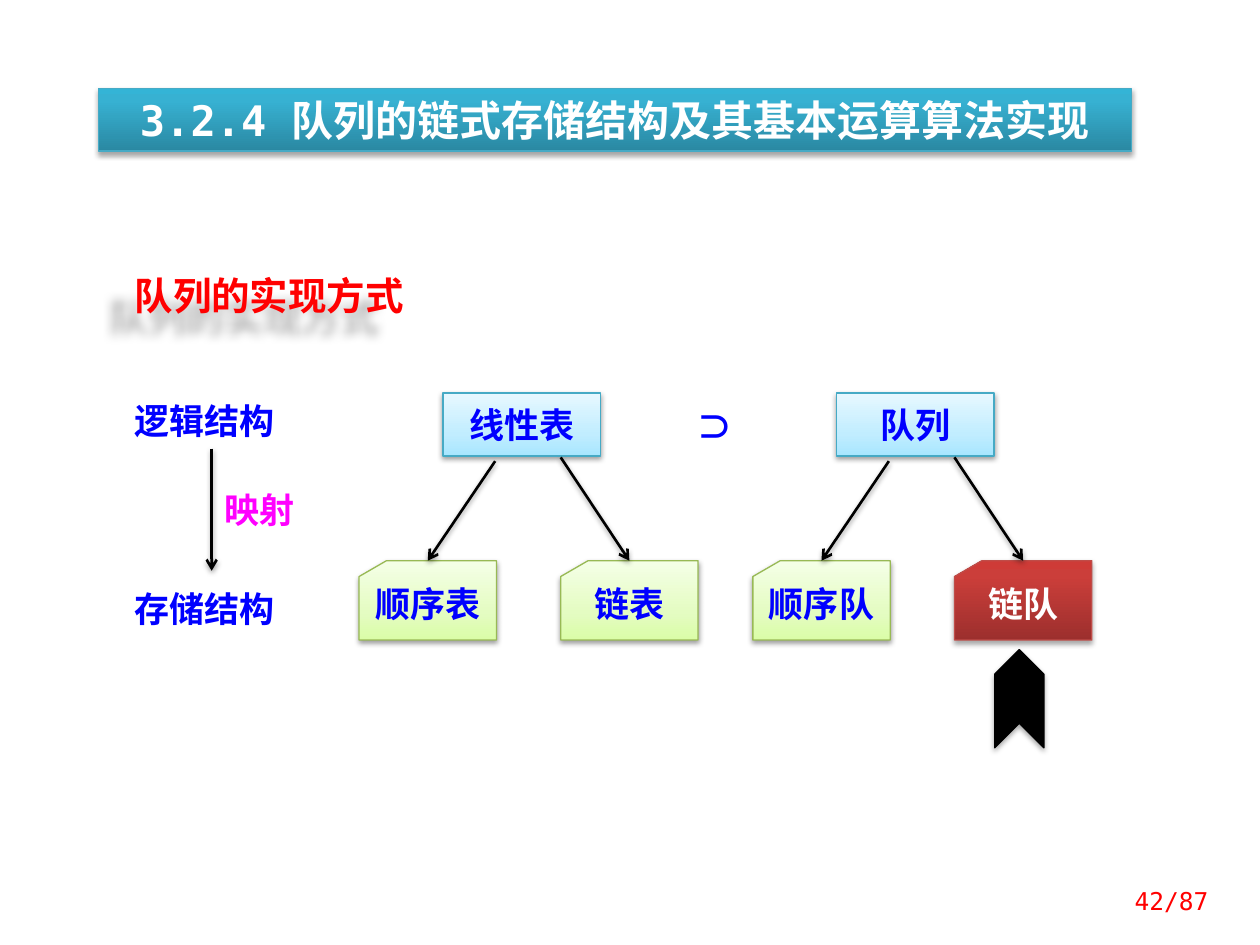
from dataclasses import dataclass

from lxml import etree
from pptx import Presentation
from pptx.dml.color import RGBColor
from pptx.enum.shapes import MSO_CONNECTOR, MSO_SHAPE
from pptx.enum.text import MSO_ANCHOR, PP_ALIGN
from pptx.oxml.ns import qn
from pptx.util import Inches, Pt

RECT, CARD, CHEVRON = MSO_SHAPE.RECTANGLE, MSO_SHAPE.FLOWCHART_CARD, MSO_SHAPE.CHEVRON
STRAIGHT = MSO_CONNECTOR.STRAIGHT
TOP, MIDDLE = MSO_ANCHOR.TOP, MSO_ANCHOR.MIDDLE
LEFT, CENTER, RIGHT = PP_ALIGN.LEFT, PP_ALIGN.CENTER, PP_ALIGN.RIGHT
MONO, SANS = "DejaVu Sans Mono", "Noto Sans CJK SC"

COLS, ROWS = 100, 75  # slide grid
WIDTH, HEIGHT = Inches(10), Inches(7.5)
COLORS = {"red": "FF0000", "blue": "0000FF", "magenta": "FF00FF",
          "white": "FFFFFF", "black": "000000"}


@dataclass
class Shadow:
    opacity: int
    blur: float
    distance: float
    angle: int = 90


@dataclass
class Look:
    stops: dict[int, str]
    line: str
    shadow: Shadow


@dataclass
class Font:
    name: str
    size: int
    color: str
    bold: bool = True


@dataclass
class Tree:
    column: float
    root: str
    leaves: tuple[str, str]
    looks: tuple[Look, Look]


SOFT, STRONG = Shadow(38, 3.1, 1.6), Shadow(35, 3.1, 1.8)
SKY = Look({0: "A7E6FF", 35: "C1EDFF", 100: "E7F8FF"}, "46AAC5", SOFT)
LIME = Look({0: "DAFDA7", 35: "E4FCC2", 100: "F5FFE7"}, "98B955", SOFT)
BRICK = Look({0: "9C2F2D", 80: "CB3E3A", 100: "CE3B37"}, "BF4C48", STRONG)
TEAL = Look({0: "2A88A2", 80: "37B1D2", 100: "34B4D6"}, "46AAC5", STRONG)
INK = Look({0: COLORS["black"]}, COLORS["black"], STRONG)

BLUE_LABEL = Font(SANS, 20, "blue")
WHITE_LABEL = Font(SANS, 20, "white")
MAPPING = Font(SANS, 20, "magenta")

TREES = [Tree(28.5, "线性表", ("顺序表", "链表"), (LIME, LIME)),
         Tree(59.75, "队列", ("顺序队", "链队"), (LIME, BRICK))]


def x(cols: float) -> int:
    return int(WIDTH * cols / COLS)


def y(rows: float) -> int:
    return int(HEIGHT * rows / ROWS)


def box(left: float, top: float, width: float, height: float) -> tuple:
    return x(left), y(top), x(width), y(height)


def add_shadow(sp, shadow: Shadow) -> None:
    """Call after the fill and line are set: effects follow them in spPr."""
    effects = etree.SubElement(sp._element.spPr, qn("a:effectLst"))
    outer = etree.SubElement(
        effects, qn("a:outerShdw"), blurRad=str(Pt(shadow.blur)),
        dist=str(Pt(shadow.distance)), dir=str(shadow.angle * 60000), rotWithShape="0")
    color = etree.SubElement(outer, qn("a:srgbClr"), val=COLORS["black"])
    etree.SubElement(color, qn("a:alpha"), val=str(shadow.opacity * 1000))


def apply_look(sp, look: Look) -> None:
    if len(look.stops) == 1:
        sp.fill.solid()
        sp.fill.fore_color.rgb = RGBColor.from_string(look.stops[0])
    else:
        sp.fill.gradient()
        sp.fill.gradient_angle = 90
        stops = sp._element.spPr.find(".//" + qn("a:gsLst"))
        for old in list(stops):
            stops.remove(old)
        for position, color in look.stops.items():
            stop = etree.SubElement(stops, qn("a:gs"), pos=str(position * 1000))
            etree.SubElement(stop, qn("a:srgbClr"), val=color)
    sp.line.color.rgb = RGBColor.from_string(look.line)
    sp.line.width = Pt(0.75)
    add_shadow(sp, look.shadow)


def write(sp, text: str, font: Font, align=LEFT, anchor=TOP, top=0.05, bottom=0.05):
    tf = sp.text_frame
    tf.word_wrap = True
    tf.vertical_anchor = anchor
    tf.margin_top, tf.margin_bottom = Inches(top), Inches(bottom)
    p = tf.paragraphs[0]
    p.text, p.alignment = text, align
    p.font.name, p.font.size, p.font.bold = font.name, Pt(font.size), font.bold
    p.font.color.rgb = RGBColor.from_string(COLORS[font.color])
    etree.SubElement(p._p.find(".//" + qn("a:defRPr")), qn("a:ea"), typeface=font.name)
    return p


def add_block(s, kind, place: tuple, look: Look):
    sp = s.shapes.add_shape(kind, *place)
    apply_look(sp, look)
    return sp


def add_label(s, place: tuple, text: str, font: Font, align=LEFT, anchor=TOP):
    sp = s.shapes.add_textbox(*place)
    write(sp, text, font, align, anchor)
    return sp


def add_arrow(s, start: tuple[float, float], end: tuple[float, float], target=None) -> None:
    line = s.shapes.add_connector(STRAIGHT, x(start[0]), y(start[1]), x(end[0]), y(end[1]))
    if target is not None:
        line.end_connect(target, 0)
    line.line.color.rgb = RGBColor.from_string(COLORS["black"])
    line.line.width = Pt(1.5)
    etree.SubElement(line._element.spPr.find(qn("a:ln")), qn("a:tailEnd"), type="arrow")
    add_shadow(line, SOFT)


def add_tree(s, tree: Tree) -> None:
    root = add_block(s, RECT, box(tree.column + 6.65, 31.2, 12.5, 5), SKY)
    write(root, tree.root, BLUE_LABEL, CENTER, top=0.08, bottom=0.08)
    starts = ((10.8, 36.6), (16.0, 36.3))
    for i, (text, look, (dx, row)) in enumerate(zip(tree.leaves, tree.looks, starts)):
        left = tree.column + 16 * i
        leaf = add_block(s, CARD, box(left, 44.5, 10.9, 6.3), look)
        font = WHITE_LABEL if look is BRICK else BLUE_LABEL
        write(leaf, text, font, CENTER, MIDDLE, bottom=0.12)
        add_arrow(s, (tree.column + dx, row), (left + 5.45, 44.5), leaf)


def main() -> None:
    prs = Presentation()
    prs.slide_width, prs.slide_height = WIDTH, HEIGHT
    s = prs.slides.add_slide(prs.slide_layouts[6])

    heading = add_label(s, box(9.7, 21.1, 26.2, 4.7), "队列的实现方式", Font(MONO, 22, "red"))
    add_shadow(heading, Shadow(30, 6, 19, 140))

    for tree in TREES:
        add_tree(s, tree)

    for row, text in ((31.2, "逻辑结构"), (46.1, "存储结构")):
        add_label(s, box(9.7, row, 14.1, 4.4), text, BLUE_LABEL)
    add_arrow(s, (16.8, 35.6), (16.8, 45.3))
    add_label(s, box(16.8, 38.3, 8.6, 4.4), "映射", MAPPING)

    superset = add_label(s, box(54.8, 31.3, 4.7, 5.2), "∩", BLUE_LABEL)
    superset.rotation = 90
    superset.text_frame.paragraphs[0].line_spacing = Pt(30)

    title = add_block(s, RECT, box(7.8, 7, 82, 5), TEAL)
    write(title, "3.2.4 队列的链式存储结构及其基本运算算法实现", Font(MONO, 24, "white"), CENTER)

    pointer = add_block(s, CHEVRON, box(77, 53.5, 7.8, 3.9), INK)
    pointer.rotation = 270

    add_label(s, box(86.7, 69.5, 10.2, 4), "42/87", Font(MONO, 14, "red", False), RIGHT, MIDDLE)
    prs.save("out.pptx")


if __name__ == "__main__":
    main()
